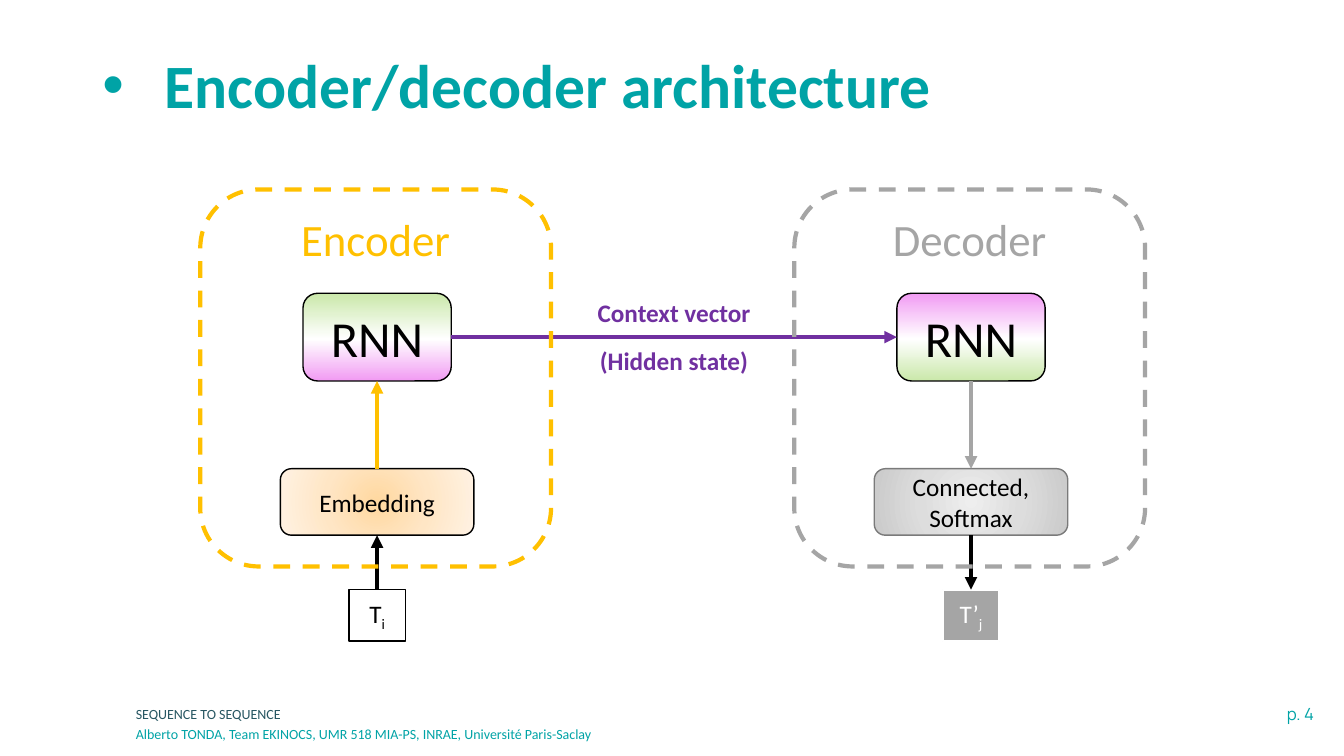
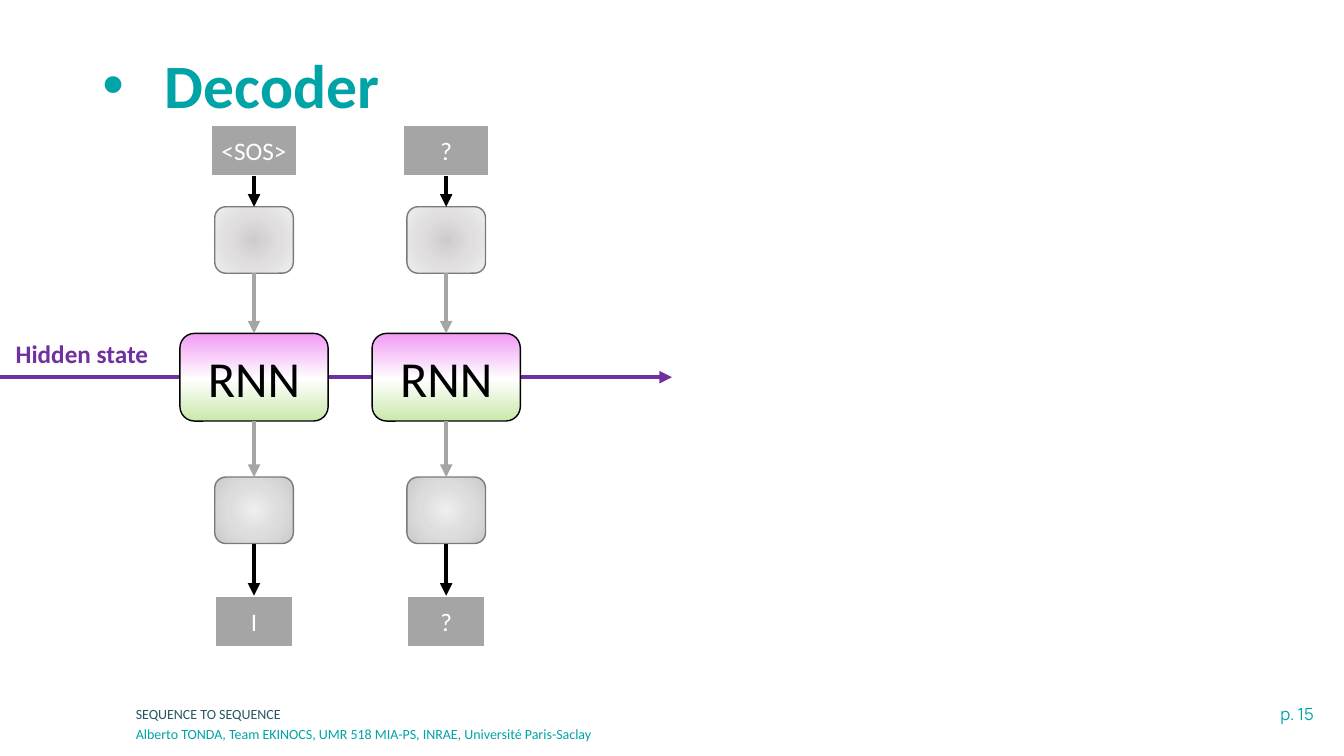
from dataclasses import dataclass
from pptx import Presentation, oxml, util as u
from pptx.dml.color import RGBColor
from pptx.enum import dml, shapes, text

WIDE, HIGH = u.Inches(13.33), u.Inches(7.5)
KIND = shapes.MSO_SHAPE
ALIGN = text.PP_ALIGN
ANCHOR = text.MSO_ANCHOR
TOP, LEFT, BOTTOM, RIGHT = range(4)
NS = oxml.ns.nsdecls("a")


@dataclass(frozen=True)
class Theme:
    face: str = "Calibri"
    digit: str = "Manrope"
    teal: str = "00A3A6"
    navy: str = "275662"
    black: str = "000000"
    white: str = "FFFFFF"
    gold: str = "FFC000"
    grey: str = "A5A5A5"
    edge: str = "7A7A7A"
    plum: str = "7030A0"
    peach: tuple = ("FFD8A0", "FFE6C5", "FFF2E3")
    steel: tuple = ("EEEEEE", "DDDDDD", "CACACA")
    mist: tuple = ("CFCCCC", "E0DEDE", "EFEFEF")
    green: tuple = ("CAE8AA", "FFFFFF", "F19BF3")
    pink: tuple = ("F19BF3", "FFFFFF", "CAE8AA")
    title: int = 44
    core: int = 36
    head: int = 32
    body: int = 18
    page: int = 12
    foot: int = 10


T = Theme()


def rgb(code):
    return RGBColor.from_string(code)


def place(mid_x, mid_y, wide, high):
    shares = ((mid_x - wide / 2, WIDE), (mid_y - high / 2, HIGH),
              (wide, WIDE), (high, HIGH))
    return [round(share * size / 100) for share, size in shares]


def write(shape, words, size=T.body, color=T.black, face=T.face, bold=False,
          align=ALIGN.CENTER, anchor=ANCHOR.MIDDLE):
    frame = shape.text_frame
    frame.word_wrap = True
    frame.vertical_anchor = anchor
    para = frame.paragraphs[0]
    para.alignment = align
    main, _, sub = words.partition("_")
    for part, base in ((main, None), (sub, "-25000")):
        if not part:
            continue
        run = para.add_run()
        run.text = part
        font = run.font
        font.size, font.name, font.bold = u.Pt(size), face, bold
        font.color.rgb = rgb(color)
        if base:
            font._element.set("baseline", base)
    return para


def label(slide, area, words, **style):
    write(slide.shapes.add_textbox(*place(*area)), words, **style)


def blend(shape, colors, mid, way):
    stops = "".join(
        f'<a:gs pos="{pos * 1000}"><a:srgbClr val="{color}"/></a:gs>'
        for pos, color in zip((0, mid, 100), colors))
    shape.fill.background()
    props = shape._element.spPr
    blank = props.find(oxml.ns.qn("a:noFill"))
    props.replace(blank, oxml.parse_xml(
        f"<a:gradFill {NS}><a:gsLst>{stops}</a:gsLst>{way}</a:gradFill>"))


def block(slide, kind, area, edge=T.black, width=1):
    shape = slide.shapes.add_shape(kind, *place(*area))
    shape.shadow.inherit = False
    shape.line.color.rgb = rgb(edge)
    shape.line.width = u.Pt(width)
    return shape


def core(slide, mid_x, mid_y, colors):
    shape = block(slide, KIND.ROUNDED_RECTANGLE, (mid_x, mid_y, 11.03, 11.6))
    blend(shape, colors, 52, '<a:lin ang="5400000" scaled="0"/>')
    write(shape, "RNN", size=T.core)
    return shape


def layer(slide, mid_x, mid_y, wide, colors, words="", edge=T.edge):
    shape = block(slide, KIND.FLOWCHART_ALTERNATE_PROCESS,
                  (mid_x, mid_y, wide, 8.8), edge)
    blend(shape, colors, 50, '<a:path path="circle"><a:fillToRect l="50000" '
          't="50000" r="50000" b="50000"/></a:path>')
    if words:
        write(shape, words)
    return shape


def token(slide, mid_x, mid_y, wide, words, fill=T.grey, ink=T.white,
          edge=T.white, width=1.5):
    shape = block(slide, KIND.RECTANGLE, (mid_x, mid_y, wide, 6.8), edge, width)
    shape.fill.solid()
    shape.fill.fore_color.rgb = rgb(fill)
    frame = shape.text_frame
    frame.margin_left = frame.margin_right = u.Inches(0.05)
    write(shape, words, color=ink)
    return shape


def group(slide, mid_x, words, color):
    shape = block(slide, KIND.ROUNDED_RECTANGLE, (mid_x, 50, 26.1, 49.87),
                  color, 3)
    shape.fill.background()
    shape.line.dash_style = dml.MSO_LINE.DASH
    write(shape, words, size=T.head, color=color, anchor=ANCHOR.TOP)


def arrow(slide, color, start=(0, 0), end=(0, 0)):
    spots = [round(share * size / 100) for point in (start, end)
             for share, size in zip(point, (WIDE, HIGH))]
    line = slide.shapes.add_connector(shapes.MSO_CONNECTOR.STRAIGHT, *spots)
    line.line.color.rgb = rgb(color)
    line.line.width = u.Pt(3)
    line.line._get_or_add_ln().append(
        oxml.parse_xml(f'<a:tailEnd {NS} type="triangle"/>'))
    line._element.spPr.append(oxml.parse_xml(f"<a:effectLst {NS}/>"))
    return line


def link(slide, first, last, color, out=BOTTOM, into=TOP):
    line = arrow(slide, color)
    line.begin_connect(first, out)
    line.end_connect(last, into)


def start(deck, title, page):
    slide = deck.slides.add_slide(deck.slide_layouts[5])
    head = slide.shapes.title
    head.left, head.top, head.width, head.height = place(50, 11.67, 86.27, 12.67)
    para = write(head, title, size=T.title, color=T.teal, bold=True,
                 align=ALIGN.LEFT)
    props = para._p.get_or_add_pPr()
    props.set("marL", str(u.Inches(0.62)))
    props.set("indent", str(-u.Inches(0.62)))
    for mark in (f'<a:buFont {NS} typeface="Arial"/>',
                 f'<a:buChar {NS} char="•"/>'):
        props.append(oxml.parse_xml(mark))
    para.line_spacing = 0.9
    para.space_before = u.Pt(0)
    label(slide, (89.95, 94.4, 17.1, 4), f"p. {page}", size=T.page,
          color=T.teal, face=T.digit, align=ALIGN.RIGHT, anchor=ANCHOR.TOP)
    notes = (("SEQUENCE TO SEQUENCE", T.navy),
             ("Alberto TONDA, Team EKINOCS, UMR 518 MIA-PS, INRAE, "
              "Université Paris-Saclay", T.teal))
    for row, (words, color) in enumerate(notes):
        label(slide, (36.9, 94.53 + row * 2.6, 55.06, 3.73), words,
              size=T.foot, color=color, align=ALIGN.LEFT, anchor=ANCHOR.TOP)
    return slide


def model(deck):
    slide = start(deck, "Encoder/decoder architecture", 4)
    left, right = 28.06, 72.25
    top, low, base = 44.6, 66.4, 81.4
    enc = core(slide, left, top, T.green)
    embed = layer(slide, left, low, 14.4, T.peach, "Embedding", T.black)
    source = token(slide, left, base, 4.2, "T_i", T.white, T.black, T.black, 1)
    dec = core(slide, right, top, T.pink)
    soft = layer(slide, right, low, 14.4, T.steel, "Connected, Softmax")
    goal = token(slide, right, base, 4.2, "T’_j")
    link(slide, enc, dec, T.plum, RIGHT, LEFT)
    link(slide, source, embed, T.black, TOP, BOTTOM)
    link(slide, embed, enc, T.gold, TOP, BOTTOM)
    link(slide, dec, soft, T.grey)
    link(slide, soft, goal, T.black)
    group(slide, 27.95, "Encoder", T.gold)
    group(slide, 72.15, "Decoder", T.grey)
    for mid_y, words in ((41.33, "Context vector"), (47.73, "(Hidden state)")):
        label(slide, (50.15, mid_y, 13, 5.33), words, color=T.plum, bold=True)


def step(slide, mid_x, given, result):
    feed = token(slide, mid_x, 19.93, 6.38, given)
    embed = layer(slide, mid_x, 31.75, 5.85, T.mist)
    cell = core(slide, mid_x, 49.9, T.pink)
    soft = layer(slide, mid_x, 67.5, 5.85, T.steel)
    goal = token(slide, mid_x, 82.2, 5.85, result)
    chain = (feed, embed, cell, soft, goal)
    tints = (T.black, T.grey, T.grey, T.black)
    for first, last, color in zip(chain, chain[1:], tints):
        link(slide, first, last, color)


def decode(deck):
    slide = start(deck, "Decoder", 15)
    arrow(slide, T.plum, (0, 49.9), (50, 49.9))
    label(slide, (6.1, 46.8, 12.2, 5.33), "Hidden state", color=T.plum,
          bold=True)
    for col, (given, result) in enumerate((("<SOS>", "I"), ("?", "?"))):
        step(slide, 18.9 + col * 14.3, given, result)


def main():
    deck = Presentation()
    deck.slide_width, deck.slide_height = WIDE, HIGH
    model(deck)
    decode(deck)
    deck.save("out.pptx")


if __name__ == "__main__":
    main()
